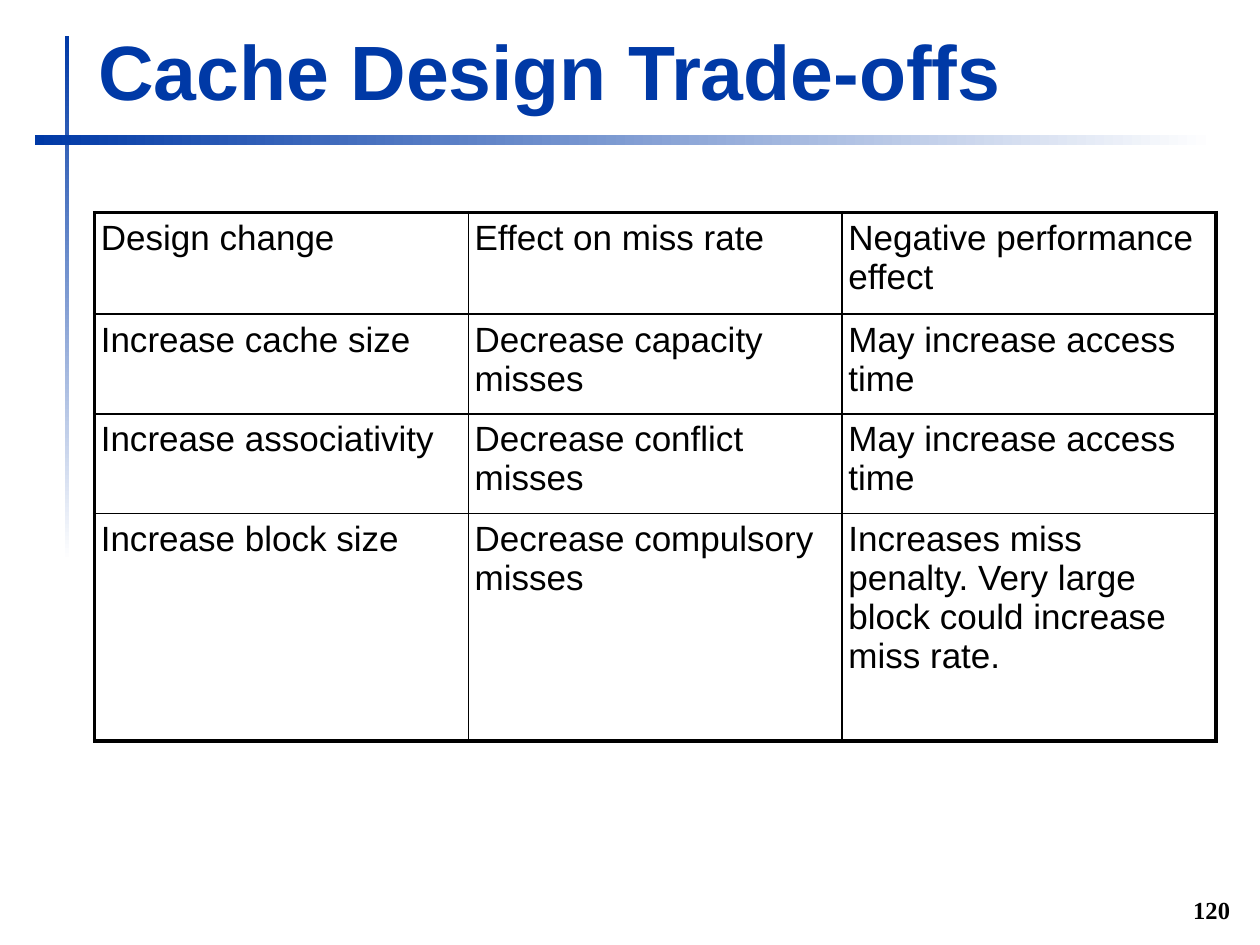
"""Build the cache design trade-offs slide."""
from dataclasses import dataclass

from lxml import etree
from pptx import Presentation
from pptx.dml.color import RGBColor
from pptx.enum.shapes import MSO_SHAPE
from pptx.enum.text import MSO_ANCHOR, PP_ALIGN
from pptx.oxml.ns import qn
from pptx.util import Pt

RECTANGLE = MSO_SHAPE.RECTANGLE
BOTTOM = MSO_ANCHOR.BOTTOM
LEFT, RIGHT = PP_ALIGN.LEFT, PP_ALIGN.RIGHT


@dataclass(frozen=True)
class Theme:
    """Colours, fonts, type sizes and line widths."""

    blue: str = "0039A6"
    white: str = "FFFFFF"
    black: str = "000000"
    sans: str = "Arial"
    serif: str = "Times New Roman"
    title_size: float = 44
    table_size: float = 20
    number_size: float = 14
    inset: float = 3.6
    space_before: float = 4
    frame_rule: float = 2.25
    header_rule: float = 1.5
    inner_rule: float = 1


class SlideBuilder:
    """Draw themed elements on the current slide."""

    def __init__(self, slide, theme):
        self.slide = slide
        self.theme = theme

    def style_text(self, paragraph, font_name, size, color, bold=False):
        for run in paragraph.runs:
            run.font.name = font_name
            run.font.size = Pt(size)
            run.font.bold = bold
            run.font.color.rgb = RGBColor.from_string(color)

    def set_insets(self, holder):
        inset = Pt(self.theme.inset)
        holder.margin_left = holder.margin_right = inset
        holder.margin_top = holder.margin_bottom = inset

    def fading_bar(self, left, top, width, height, angle):
        bar = self.slide.shapes.add_shape(
            RECTANGLE, Pt(left), Pt(top), Pt(width), Pt(height))
        bar.shadow.inherit = False
        bar.line.fill.background()
        bar.fill.gradient()
        bar.fill.gradient_angle = angle
        for stop, color in zip(bar.fill.gradient_stops, (self.theme.white, self.theme.blue)):
            stop.color.rgb = RGBColor.from_string(color)

    def label(self, text, left, top, width, height, font_name, size, color,
              align=LEFT, wrap=True):
        box = self.slide.shapes.add_textbox(Pt(left), Pt(top), Pt(width), Pt(height))
        frame = box.text_frame
        frame.word_wrap = wrap
        frame.vertical_anchor = BOTTOM
        self.set_insets(frame)
        frame.text = text
        frame.paragraphs[0].alignment = align
        self.style_text(frame.paragraphs[0], font_name, size, color, bold=True)

    def cell_borders(self, cell, widths):
        properties = cell._tc.get_or_add_tcPr()
        for side, width in zip(("lnL", "lnR", "lnT", "lnB"), widths):
            line = etree.SubElement(properties, qn(f"a:{side}"), w=str(int(Pt(width))))
            fill = etree.SubElement(line, qn("a:solidFill"))
            etree.SubElement(fill, qn("a:srgbClr"), val=self.theme.black)

    def table(self, rows, left, top, width, row_heights):
        theme = self.theme
        column_count = len(rows[0])
        grid = self.slide.shapes.add_table(
            len(rows), column_count, Pt(left), Pt(top), Pt(width), Pt(sum(row_heights))).table
        grid.first_row = grid.horz_banding = False
        for column in grid.columns:
            column.width = Pt(width / column_count)
        column_rules = [theme.frame_rule, *[theme.inner_rule] * (column_count - 1),
                        theme.frame_rule]
        row_rules = [theme.frame_rule, theme.header_rule,
                     *[theme.inner_rule] * (len(rows) - 2), theme.frame_rule]
        for r, (texts, height) in enumerate(zip(rows, row_heights)):
            grid.rows[r].height = Pt(height)
            for c, text in enumerate(texts):
                cell = grid.cell(r, c)
                self.set_insets(cell)
                self.cell_borders(cell, column_rules[c:c + 2] + row_rules[r:r + 2])
                cell.fill.background()
                cell.text_frame.text = text
                paragraph = cell.text_frame.paragraphs[0]
                paragraph.space_before = Pt(theme.space_before)
                self.style_text(paragraph, theme.sans, theme.table_size, theme.black)


def main():
    presentation = Presentation()
    presentation.slide_width, presentation.slide_height = Pt(720), Pt(540)
    theme = Theme()
    builder = SlideBuilder(
        presentation.slides.add_slide(presentation.slide_layouts[6]), theme)

    builder.fading_bar(37, 20.5, 2.5, 300, angle=90)
    builder.fading_bar(19.75, 77, 674.5, 6, angle=180)
    builder.label("120", 674.5, 508.5, 32, 23, theme.serif, theme.number_size,
                  theme.black, align=RIGHT, wrap=False)
    builder.label("Cache Design Trade-offs", 52.5, 9.5, 613.5, 60.5, theme.sans,
                  theme.title_size, theme.blue)

    trade_offs = [
        ("Design change", "Effect on miss rate", "Negative performance effect"),
        ("Increase cache size", "Decrease capacity misses", "May increase access time"),
        ("Increase associativity", "Decrease conflict misses", "May increase access time"),
        ("Increase block size", "Decrease compulsory misses",
         "Increases miss penalty. Very large block could increase miss rate."),
    ]
    builder.table(trade_offs, 54, 121.5, 640.8, (58, 57, 57, 130))
    presentation.save("out.pptx")


if __name__ == "__main__":
    main()
